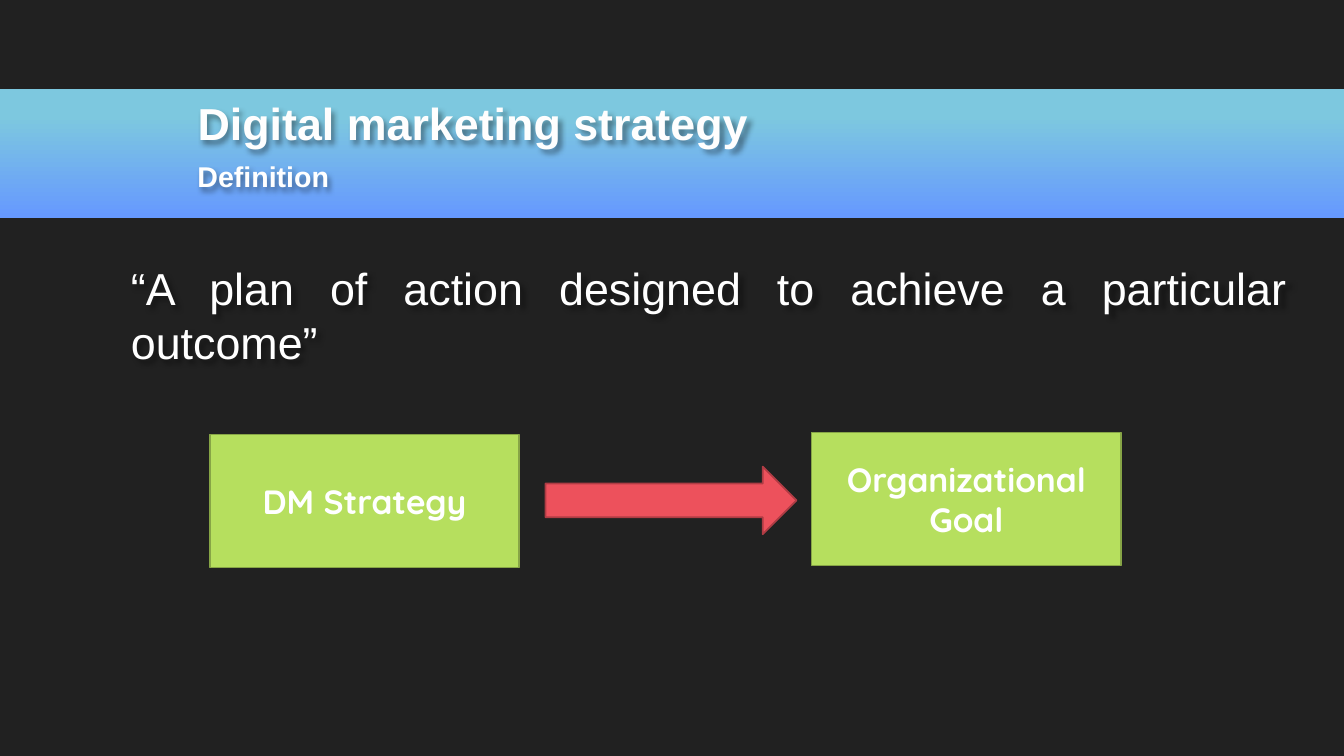
import pptx
import pptx.util
import pptx.dml.color
import pptx.enum.shapes
import pptx.enum.text
import pptx.oxml
import pptx.oxml.ns

Inches, Pt = pptx.util.Inches, pptx.util.Pt
Shape = pptx.enum.shapes.MSO_SHAPE
Align = pptx.enum.text.PP_ALIGN
Anchor = pptx.enum.text.MSO_ANCHOR

# Content
TITLE = "Digital marketing strategy"
SUBTITLE = "Definition"
QUOTE = "“A plan of action designed to achieve a particular outcome”"
STEPS = [("DM Strategy", 2.08, 4.31), ("Organizational Goal", 8.05, 4.29)]

# Layout in inches: left, top, width, height
SLIDE = (13.33, 7.5)
BAND = (0, 0.88, SLIDE[0], 1.28)
TITLE_AREA = (1.86, 0.91, 6.37, 0.62)
SUBTITLE_AREA = (1.86, 1.58, 7.1, 0.39)
QUOTE_AREA = (1.2, 2.54, 11.67, 0.79)
STEP_SIZE = (3.07, 1.32)
ARROW = (5.41, 4.63, 2.49, 0.67)

THEME = {
    "background": "212121", "band_top": "7DC8DF", "band_bottom": "6699FF",
    "title": "FEFEFE", "text": "FFFFFF",
    "step": "B6DF5E", "step_line": "87A546",
    "arrow": "ED515C", "arrow_line": "AF3C44",
    "heading_font": "Arial", "step_font": "Quicksand",
    "title_size": 32, "subtitle_size": 20.4, "quote_size": 32,
    "step_size": 24, "line_width": 1.25,
}


def color(name):
    return pptx.dml.color.RGBColor.from_string(THEME[name])


def place(shape, area):
    shape.left, shape.top, shape.width, shape.height = map(Inches, area)


def write(shape, text, size, font="heading_font", ink="text", bold=True,
          align=Align.LEFT, anchor=Anchor.MIDDLE, before=0):
    frame = shape.text_frame
    frame.text = text
    frame.word_wrap = True
    frame.auto_size = pptx.enum.text.MSO_AUTO_SIZE.NONE
    frame.vertical_anchor = anchor
    paragraph = frame.paragraphs[0]
    paragraph.alignment = align
    paragraph.space_before = Pt(before)
    style = paragraph.runs[0].font
    style.name, style.size, style.bold = THEME[font], Pt(THEME[size]), bold
    style.color.rgb = color(ink)


def cast_shadow(shape):
    """Give the text of an unfilled shape a soft shadow."""
    shape.fill.background()
    shape._element.spPr.append(pptx.oxml.parse_xml(
        f'<a:effectLst {pptx.oxml.ns.nsdecls("a")}>'
        '<a:outerShdw blurRad="50800" dist="38100" dir="2700000" algn="tl" rotWithShape="0">'
        '<a:srgbClr val="000000"><a:alpha val="40000"/></a:srgbClr>'
        '</a:outerShdw></a:effectLst>'))


def add_block(slide, kind, area, fill, line):
    block = slide.shapes.add_shape(kind, *map(Inches, area))
    block.shadow.inherit = False
    block.fill.solid()
    block.fill.fore_color.rgb = color(fill)
    block.line.color.rgb = color(line)
    block.line.width = Pt(THEME["line_width"])
    return block


def add_band(slide):
    band = slide.shapes.add_shape(Shape.RECTANGLE, *map(Inches, BAND))
    band.shadow.inherit = False
    band.line.fill.background()
    band.fill.gradient()
    band.fill.gradient_angle = 270
    stops = band.fill.gradient_stops
    for stop, position, name in zip(stops, (0.21, 1), ("band_top", "band_bottom")):
        stop.position = position
        stop.color.rgb = color(name)
    # Behind the title placeholder
    slide.shapes._spTree.insert(2, band._element)


def main():
    deck = pptx.Presentation()
    deck.slide_width, deck.slide_height = map(Inches, SLIDE)
    slide = deck.slides.add_slide(deck.slide_layouts[5])
    slide.background.fill.solid()
    slide.background.fill.fore_color.rgb = color("background")
    add_band(slide)

    title = slide.shapes.title
    place(title, TITLE_AREA)
    write(title, TITLE, "title_size", ink="title")
    subtitle = slide.shapes.add_textbox(*map(Inches, SUBTITLE_AREA))
    write(subtitle, SUBTITLE, "subtitle_size", anchor=Anchor.BOTTOM)
    quote = slide.shapes.add_textbox(*map(Inches, QUOTE_AREA))
    write(quote, QUOTE, "quote_size", bold=False, align=Align.JUSTIFY,
          anchor=Anchor.TOP, before=6.4)
    for words in (title, subtitle, quote):
        cast_shadow(words)

    for label, left, top in STEPS:
        step = add_block(slide, Shape.RECTANGLE, (left, top, *STEP_SIZE),
                         "step", "step_line")
        write(step, label, "step_size", font="step_font", align=Align.CENTER)
    add_block(slide, Shape.RIGHT_ARROW, ARROW, "arrow", "arrow_line")
    deck.save("out.pptx")


if __name__ == "__main__":
    main()
